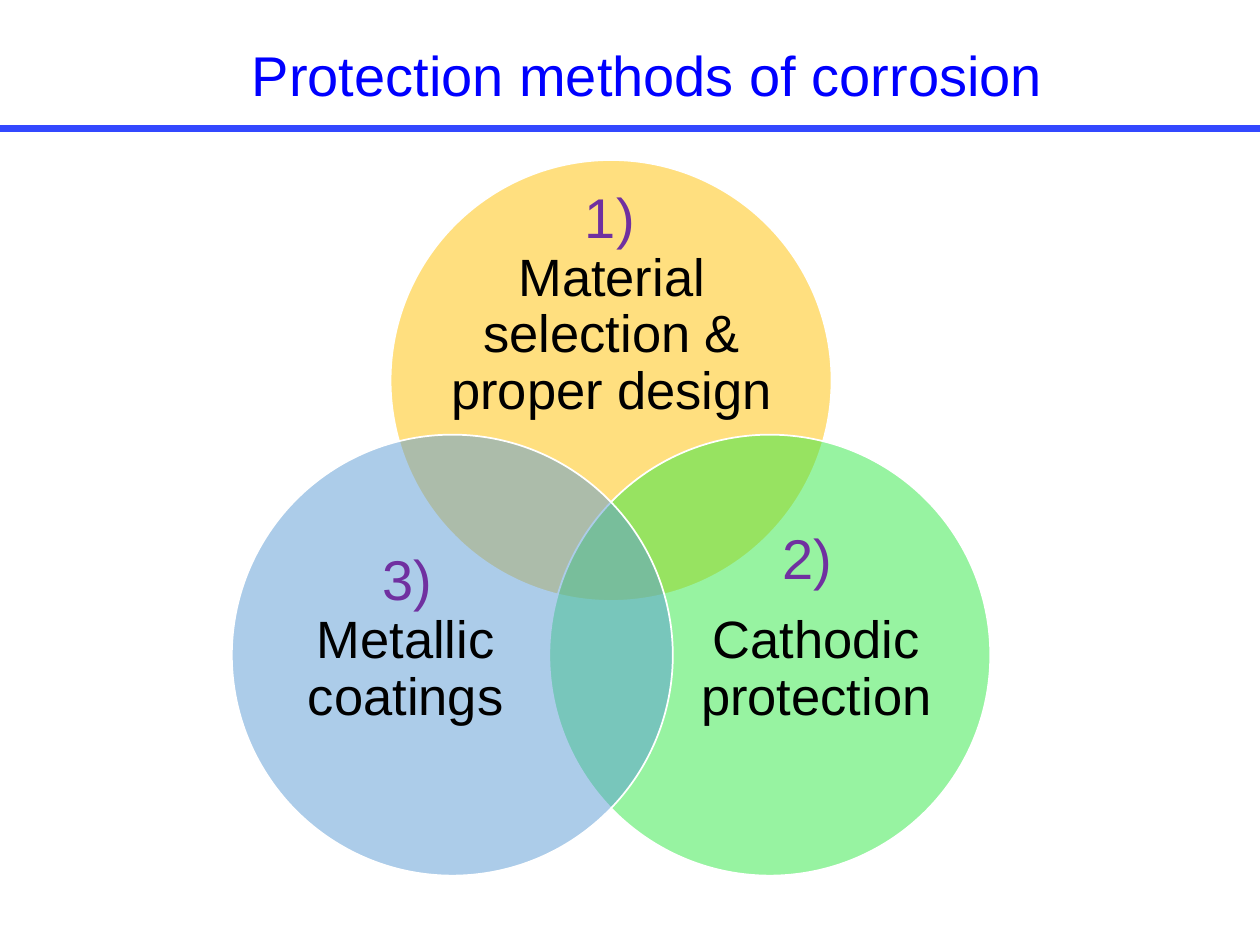
"""Build a slide with a three-circle diagram of corrosion protection methods."""
from lxml.etree import SubElement
from pptx import Presentation
from pptx.dml.color import RGBColor
from pptx.enum.shapes import MSO_CONNECTOR, MSO_SHAPE
from pptx.enum.text import MSO_ANCHOR, PP_ALIGN
from pptx.oxml.ns import qn
from pptx.util import Inches, Pt


def color(value):
    return RGBColor.from_string(value)


def add_text(slide, text, box, size, text_color, alignment=PP_ALIGN.CENTER):
    shape = slide.shapes.add_textbox(*map(Inches, box))
    text_frame = shape.text_frame
    text_frame.word_wrap = True
    text_frame.text = text
    paragraph = text_frame.paragraphs[0]
    paragraph.alignment = alignment
    font = paragraph.runs[0].font
    font.name = "Arial"
    font.size = Pt(size)
    font.color.rgb = color(text_color)
    return text_frame


presentation = Presentation()
presentation.slide_width = Inches(10)
presentation.slide_height = Inches(7.5)
slide = presentation.slides.add_slide(presentation.slide_layouts[6])

diameter = 3.5
methods = [
    ("Material selection & proper design", "FFC000", (3.1, 1.27), (3.57, 1.88, 2.57, 1.57)),
    ("Cathodic protection", "30E845", (4.36, 3.45), (5.43, 4.36, 2.1, 1.92)),
    ("Metallic coatings", "5B9BD5", (1.84, 3.45), (2.17, 4.36, 2.1, 1.92)),
]
for label, fill_color, (left, top), label_box in methods:
    circle = slide.shapes.add_shape(
        MSO_SHAPE.OVAL, Inches(left), Inches(top), Inches(diameter), Inches(diameter)
    )
    circle.shadow.inherit = False
    circle.fill.solid()
    circle.fill.fore_color.rgb = color(fill_color)
    fill_element = circle.element.spPr.find(qn("a:solidFill"))
    SubElement(fill_element[0], qn("a:alpha")).set("val", "50000")
    circle.line.color.rgb = color("FFFFFF")
    circle.line.width = Pt(1)

    text_frame = add_text(slide, label, label_box, 30, "000000")
    text_frame.vertical_anchor = MSO_ANCHOR.MIDDLE
    text_frame.margin_left = text_frame.margin_right = 0
    text_frame.margin_top = text_frame.margin_bottom = 0
    text_frame.paragraphs[0].line_spacing = 0.9

title_rule = slide.shapes.add_connector(
    MSO_CONNECTOR.STRAIGHT, Inches(10), Inches(1.02), Inches(0), Inches(1.02)
)
title_rule.line.color.rgb = color("3348FF")
title_rule.line.width = Pt(4)
SubElement(title_rule.element.spPr, qn("a:effectLst"))

add_text(
    slide, "Protection methods of corrosion", (1.9, 0.27, 6.73, 0.64), 32, "0000FF", PP_ALIGN.LEFT
)
for number, left, top in [("1)", 4.43, 1.4), ("3)", 2.82, 4.27), ("2)", 6, 4.11)]:
    add_text(slide, number, (left, top, 0.82, 0.64), 32, "7030A0")

presentation.save("out.pptx")
